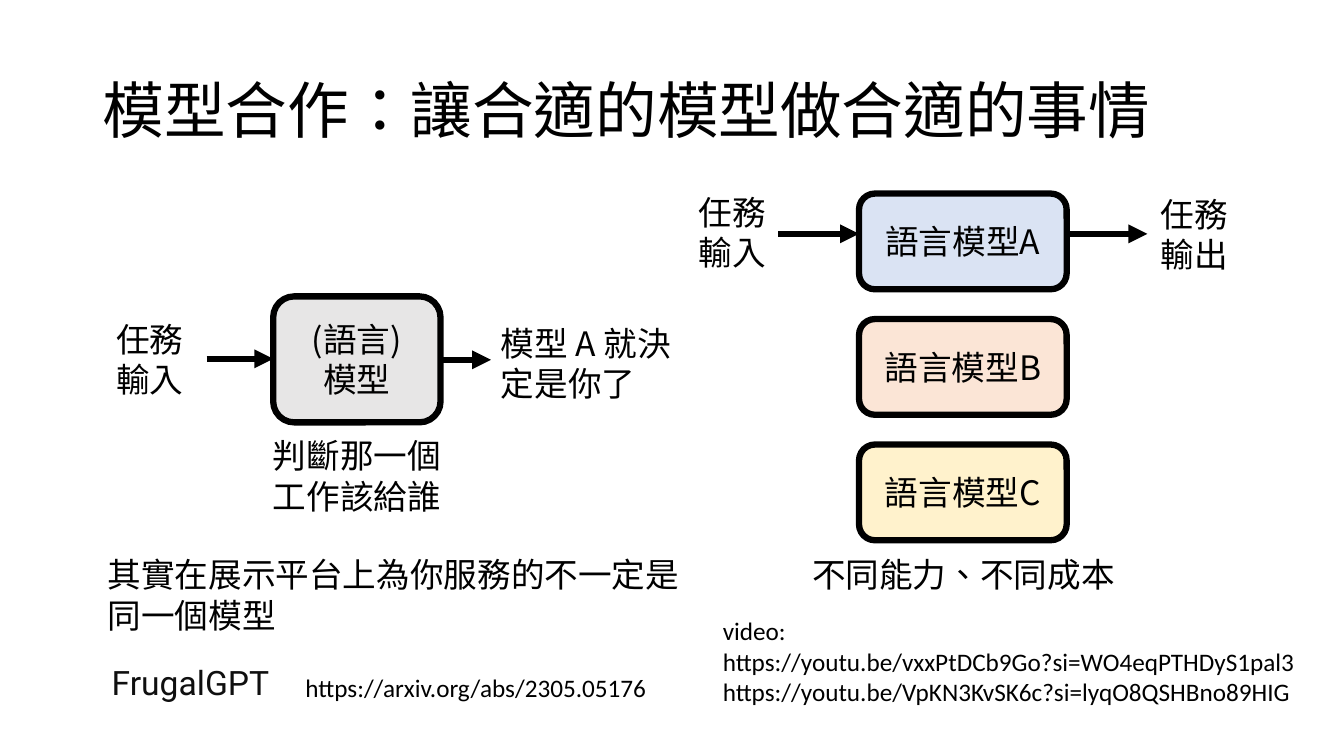
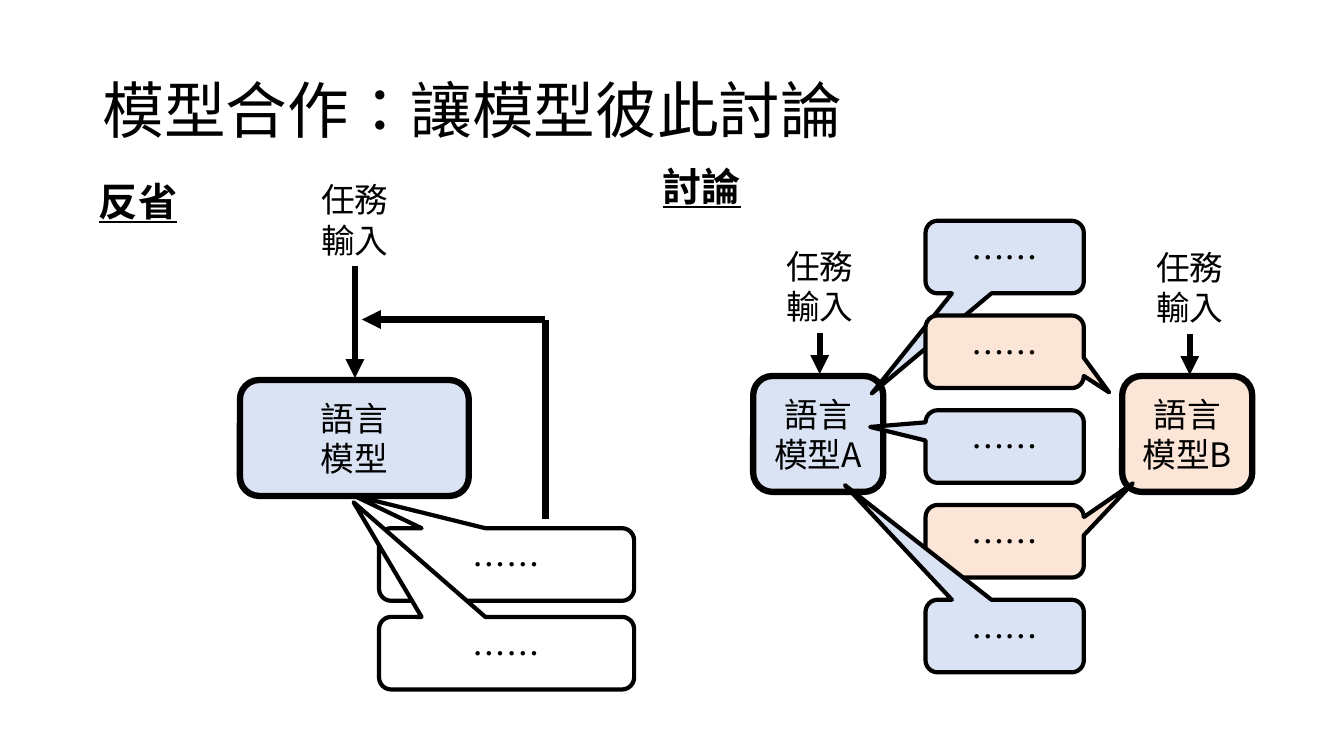
"""Build two slides on how language models work together."""
from lxml import etree
from pptx import Presentation
from pptx.dml.color import RGBColor
from pptx.enum.lang import MSO_LANGUAGE_ID
from pptx.enum.shapes import MSO_CONNECTOR, MSO_SHAPE
from pptx.enum.text import MSO_ANCHOR, PP_ALIGN
from pptx.oxml.ns import qn
from pptx.util import Inches, Pt

LEFT, CENTER = PP_ALIGN.LEFT, PP_ALIGN.CENTER
TOP, MIDDLE = MSO_ANCHOR.TOP, MSO_ANCHOR.MIDDLE
ROUNDED = MSO_SHAPE.ROUNDED_RECTANGLE
CALLOUT = MSO_SHAPE.ROUNDED_RECTANGULAR_CALLOUT
STRAIGHT = MSO_CONNECTOR.STRAIGHT
CHINESE = MSO_LANGUAGE_ID.TRADITIONAL_CHINESE

COLORS = {
    "black": "000000",
    "ink": "0F0F0F",
    "white": "FFFFFF",
    "blue": "DAE3F3",
    "orange": "FBE5D6",
    "yellow": "FFF2CC",
    "gray": "E7E6E6",
}
MAIN_FONT = "Noto Sans CJK SC"
HEAVY, MEDIUM = 4.5, 3


def write(page, text, place, kind=None, fill=None, line=HEAVY, tip=None, size=24,
          font=MAIN_FONT, color="black", align=CENTER, anchor=TOP, spacing=None,
          bold=None, underline=None):
    """Add a text box, or a preset shape if kind is given, holding the text."""
    place = [Inches(length) for length in place]
    if kind is None:
        box = page.shapes.add_textbox(*place)
    else:
        anchor = MIDDLE
        box = page.shapes.add_shape(kind, *place)
        box.shadow.inherit = False
        box.line.color.rgb = RGBColor.from_string(COLORS["black"])
        box.line.width = Pt(line)
        if fill:
            box.fill.solid()
            box.fill.fore_color.rgb = RGBColor.from_string(COLORS[fill])
        else:
            box.fill.background()
    if tip:
        box.adjustments[0], box.adjustments[1] = tip
    frame = box.text_frame
    frame.word_wrap = True
    frame.vertical_anchor = anchor
    for index, words in enumerate(text.split("\n")):
        para = frame.add_paragraph() if index else frame.paragraphs[0]
        para.alignment = align
        para.line_spacing = spacing
        span = para.add_run()
        span.text = words
        span.font.size = Pt(size)
        span.font.bold = bold
        span.font.underline = underline
        span.font.language_id = CHINESE
        span.font.color.rgb = RGBColor.from_string(COLORS[color])
        span.font.name = font
        latin = span.font._element.find(qn("a:latin"))
        latin.addnext(etree.Element(qn("a:ea"), typeface=font))


def connect(page, start, end, arrow=True):
    """Draw a heavy line, with an arrowhead at its end if asked."""
    points = [Inches(length) for length in (*start, *end)]
    connector = page.shapes.add_connector(STRAIGHT, *points)
    connector.line.color.rgb = RGBColor.from_string(COLORS["black"])
    connector.line.width = Pt(HEAVY)
    if arrow:
        outline = connector.line._get_or_add_ln()
        etree.SubElement(outline, qn("a:tailEnd"), type="triangle")
    etree.SubElement(connector._element.spPr, qn("a:effectLst"))


deck = Presentation()
deck.slide_width, deck.slide_height = Inches(13.33), Inches(7.5)
pages = []
for title in ("模型合作：讓合適的模型做合適的事情", "模型合作：讓模型彼此討論"):
    page = deck.slides.add_slide(deck.slide_layouts[6])
    write(page, title, (0.92, 0.4, 11.5, 1.45), size=44, align=LEFT, anchor=MIDDLE, spacing=0.9)
    pages.append(page)
routing, discussion = pages

for row, (letter, fill) in enumerate((("A", "blue"), ("B", "orange"), ("C", "yellow"))):
    place = (8.52, 1.92 + 1.245 * row, 2.06, 0.95)
    write(routing, f"語言模型{letter}", place, kind=ROUNDED, fill=fill)
write(routing, "(語言)\n模型", (2.71, 2.94, 1.66, 1.25), kind=ROUNDED, fill="gray")

for text, left, top in (("任務\n輸入", 0.92, 3.11), ("任務\n輸入", 6.7, 1.85), ("任務\n輸出", 11.28, 1.87)):
    write(routing, text, (left, top, 1.13, 0.91))
for left, right, height in ((2.05, 2.71, 3.56), (4.37, 4.87, 3.57), (7.72, 8.52, 2.32), (10.58, 11.38, 2.32)):
    connect(routing, (left, height), (right, height))

write(routing, "判斷那一個工作該給誰", (2.51, 4.27, 2.06, 0.91))
write(routing, "模型 A 就決定是你了", (4.87, 3.15, 2.06, 0.91), align=LEFT)
write(routing, "不同能力、不同成本", (7.38, 5.45, 4.35, 0.5))
write(routing, "其實在展示平台上為你服務的不一定是同一個模型", (0.97, 5.45, 5.96, 0.91), align=LEFT)
write(routing, "https://arxiv.org/abs/2305.05176", (2.93, 6.62, 3.89, 0.4), size=18, font="Calibri", align=LEFT)
write(routing, "FrugalGPT", (1.01, 6.52, 6.67, 0.5), font="Roboto", color="ink", align=LEFT)
videos = (
    "video:\n"
    "https://youtu.be/vxxPtDCb9Go?si=WO4eqPTHDyS1pal3\n"
    "https://youtu.be/VpKN3KvSK6c?si=lyqO8QSHBno89HIG"
)
write(routing, videos, (7.07, 6.06, 7.81, 1.31), size=18, font="Calibri", align=LEFT)

for heading, left, top in (("反省", 0.86, 1.71), ("討論", 6.45, 1.56)):
    write(discussion, heading, (left, top, 1.02, 0.57), size=28, bold=True, underline=True)

models = (
    ("語言\n模型", (2.38, 3.77, 2.27, 1.15), "blue", 3.52, 1.73, 3.75),
    ("語言\n模型A", (7.47, 3.73, 1.29, 1.15), "blue", 8.13, 2.39, 3.71),
    ("語言\n模型B", (11.13, 3.73, 1.29, 1.15), "orange", 11.8, 2.4, 3.72),
)
for text, place, fill, middle, top, arrow_end in models:
    write(discussion, text, place, kind=ROUNDED, fill=fill)
    write(discussion, "任務輸入", (middle - 0.51, top, 1.02, 0.91))
    connect(discussion, (middle, top + 0.91), (middle, arrow_end))

for top, fill, tip in ((5.24, None, (-0.6, -0.95)), (6.12, "white", (-0.6, -2.08))):
    write(discussion, "……", (3.76, top, 2.53, 0.72), kind=CALLOUT, fill=fill, line=MEDIUM, tip=tip)
connect(discussion, (5.41, 3.17), (5.41, 5.15), arrow=False)
connect(discussion, (5.41, 3.17), (3.59, 3.17))

replies = (
    ("blue", (-0.84, 1.88)),
    ("orange", (0.66, 0.56)),
    ("blue", (-0.85, -0.27)),
    ("orange", (0.81, -0.8)),
    ("blue", (-1.01, -2.08)),
)
for row, (fill, tip) in enumerate(replies):
    place = (9.18, 2.19 + 0.94 * row, 1.57, 0.72)
    write(discussion, "……", place, kind=CALLOUT, fill=fill, line=MEDIUM, tip=tip)

deck.save("out.pptx")
